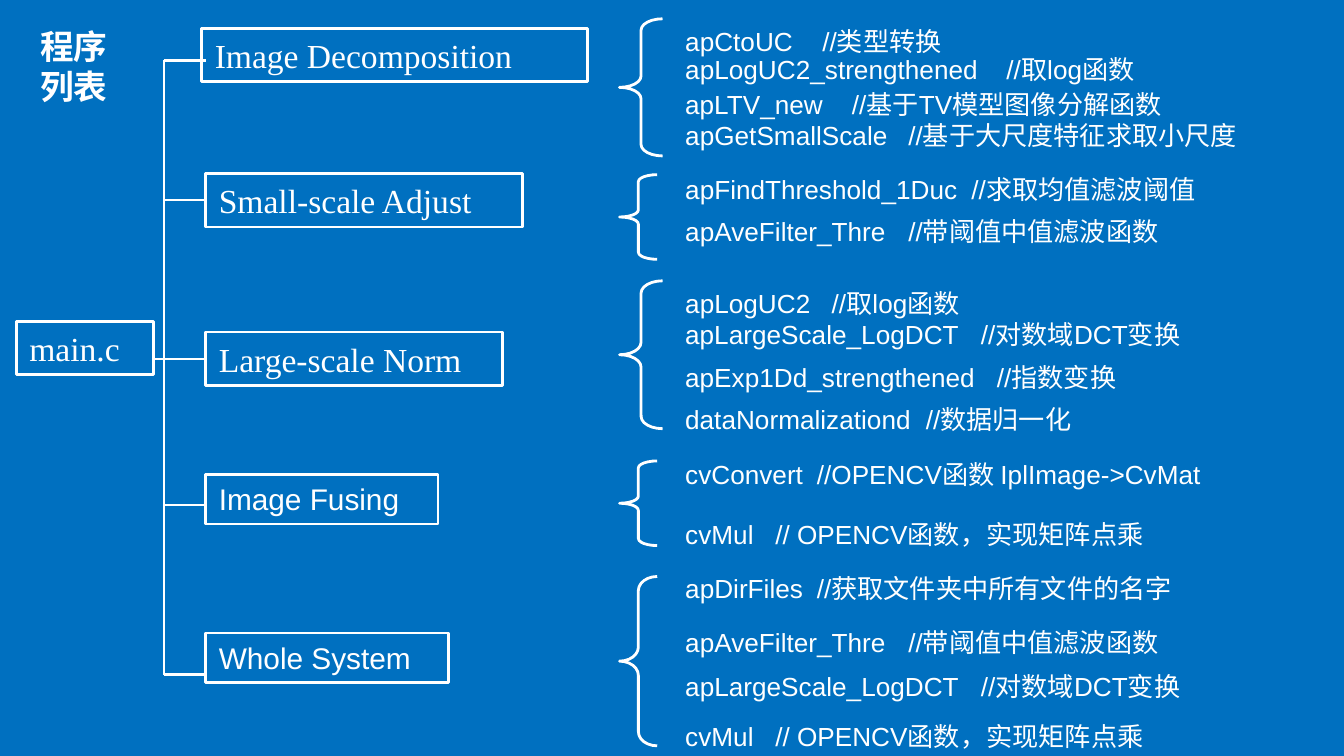
"""Builds the program list slide: a call tree with the functions of each stage."""
from lxml import etree
from pptx import Presentation
from pptx.dml.color import RGBColor
from pptx.enum import shapes as es, text as et
from pptx.oxml import ns
from pptx.util import Inches, Pt

WHITE, BLUE = "FFFFFF", "0070C0"


def paint(color, code):
    color.rgb = RGBColor.from_string(code)


def write(shape, words, size, face, gap=0, stop=None):
    frame = shape.text_frame
    frame.word_wrap = True
    frame.vertical_anchor = et.MSO_ANCHOR.TOP
    frame.auto_size = et.MSO_AUTO_SIZE.SHAPE_TO_FIT_TEXT
    para = frame.paragraphs[0]
    para.text = words
    para.alignment = et.PP_ALIGN.LEFT
    para.space_before = Pt(gap)
    if stop:
        tabs = etree.SubElement(para._p.get_or_add_pPr(), ns.qn("a:tabLst"))
        etree.SubElement(tabs, ns.qn("a:tab"), pos=str(Inches(stop)), algn="l")
    para.font.size = Pt(size)
    para.font.name = face
    paint(para.font.color, WHITE)
    return para


deck = Presentation()
deck.slide_width = Inches(10)
deck.slide_height = Inches(10) * 9 // 16
slide = deck.slides.add_slide(deck.slide_layouts[5])
slide.background.fill.solid()
paint(slide.background.fill.fore_color, BLUE)

title = slide.shapes.title
title.left, title.top, title.width, title.height = map(Inches, (0.2, 0.21, 0.88, 0.56))
write(title, "程序列表", 18, "DejaVu Sans").font.bold = True
title.text_frame.auto_size = et.MSO_AUTO_SIZE.NONE
title.text_frame.vertical_anchor = et.MSO_ANCHOR.MIDDLE

stages = [
    ("main.c", 0.12, 2.39, 1.02, 18),
    ("Image Decomposition", 1.5, 0.21, 2.87, 18),
    ("Small-scale Adjust", 1.53, 1.29, 2.36, 18),
    ("Large-scale Norm", 1.53, 2.47, 2.21, 18),
    ("Image Fusing", 1.53, 3.53, 1.73, 16),
    ("Whole System", 1.53, 4.71, 1.81, 16),
]
boxes = {}
for name, left, top, width, size in stages:
    high, face, gap = (0.4, "Times New Roman", 11.2) if size == 18 else (0.37, "Arial", 10)
    box = slide.shapes.add_shape(es.MSO_SHAPE.RECTANGLE, *map(Inches, (left, top, width, high)))
    box.shadow.inherit = False
    box.fill.background()
    box.line.width = Pt(1.5)
    paint(box.line.color, WHITE)
    write(box, name, size, face, gap)
    boxes[name] = box

calls = [
    (0.14, 2.91, "apCtoUC", "//类型转换", 1.02),
    (0.35, 4.72, "apLogUC2_strengthened", "//取log函数", 2.39),
    (0.61, 4.76, "apLTV_new", "//基于TV模型图像分解函数", 1.24),
    (0.84, 4.41, "apGetSmallScale", "//基于大尺度特征求取小尺度", 1.66),
    (1.24, 4.25, "apFindThreshold_1Duc", "//求取均值滤波阈值", 2.13),
    (1.55, 4.72, "apAveFilter_Thre", "//带阈值中值滤波函数", 1.66),
    (2.09, 2.91, "apLogUC2", "//取log函数", 1.09),
    (2.32, 4.96, "apLargeScale_LogDCT", "//对数域DCT变换", 2.2),
    (2.64, 4.96, "apExp1Dd_strengthened", "//指数变换", 2.32),
    (2.95, 4.96, "dataNormalizationd", "//数据归一化", 1.79),
    (3.36, 4.25, "cvConvert", "//OPENCV函数 IplImage->CvMat", 0.98),
    (3.81, 4.72, "cvMul", "// OPENCV函数，实现矩阵点乘", 0.67),
    (4.21, 4.25, "apDirFiles", "//获取文件夹中所有文件的名字", 0.98),
    (4.61, 4.72, "apAveFilter_Thre", "//带阈值中值滤波函数", 1.66),
    (4.94, 4.72, "apLargeScale_LogDCT", "//对数域DCT变换", 2.2),
    (5.31, 4.72, "cvMul", "// OPENCV函数，实现矩阵点乘", 0.67),
]
for top, width, name, note, stop in calls:
    label = slide.shapes.add_textbox(*map(Inches, (5, top, width, 0.34)))
    write(label, f"{name}\t{note}", 14, "Arial", 8.8, stop)

braces = [(0.14, 0.32, 1.02), (1.3, 0.28, 0.63), (2.09, 0.32, 1.1),
          (3.43, 0.28, 0.63), (4.29, 0.28, 1.26)]
for top, width, high in braces:
    brace = slide.shapes.add_shape(es.MSO_SHAPE.LEFT_BRACE, *map(Inches, (4.61, top, width, high)))
    brace.adjustments[0] = high / 12 / width
    brace.shadow.inherit = False
    brace.fill.background()
    brace.line.width = Pt(1.5)
    paint(brace.line.color, WHITE)

trunk, edge = 1.22, 1.53
links = [
    (trunk, 0.45, trunk, 5.02, None),
    (1.14, 2.67, trunk, 2.67, None),
    (trunk, 0.45, edge, 0.45, None),
    (trunk, 1.49, edge, 1.49, "Small-scale Adjust"),
    (trunk, 2.67, edge, 2.67, "Large-scale Norm"),
    (trunk, 3.76, edge, 3.76, None),
    (trunk, 5.02, edge, 5.02, None),
]
for *ends, goal in links:
    link = slide.shapes.add_connector(es.MSO_CONNECTOR.STRAIGHT, *map(Inches, ends))
    if goal:
        link.end_connect(boxes[goal], 1)
    link.line.width = Pt(1.25)
    paint(link.line.color, WHITE)
    etree.SubElement(link._element.spPr, ns.qn("a:effectLst"))

deck.save("out.pptx")
